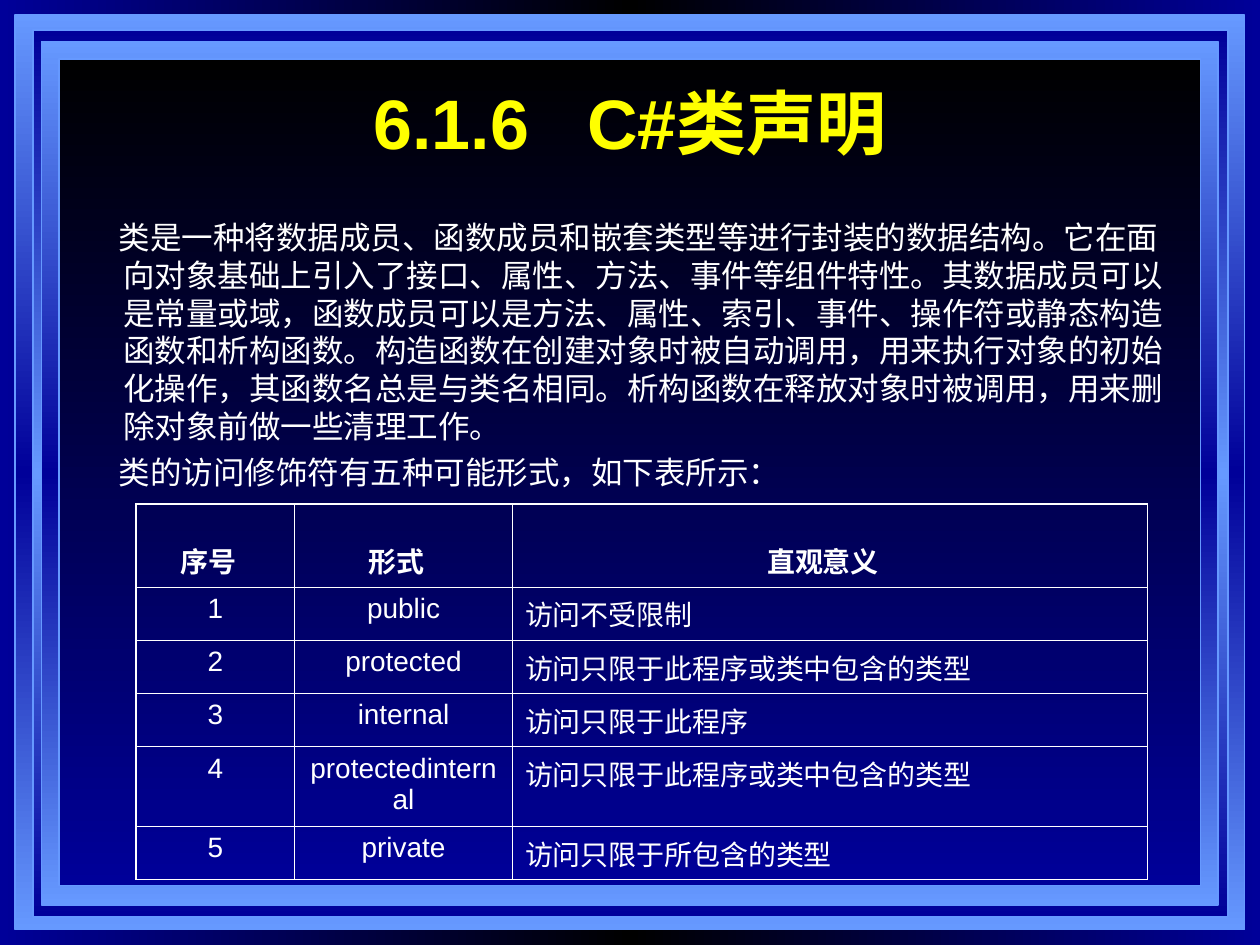
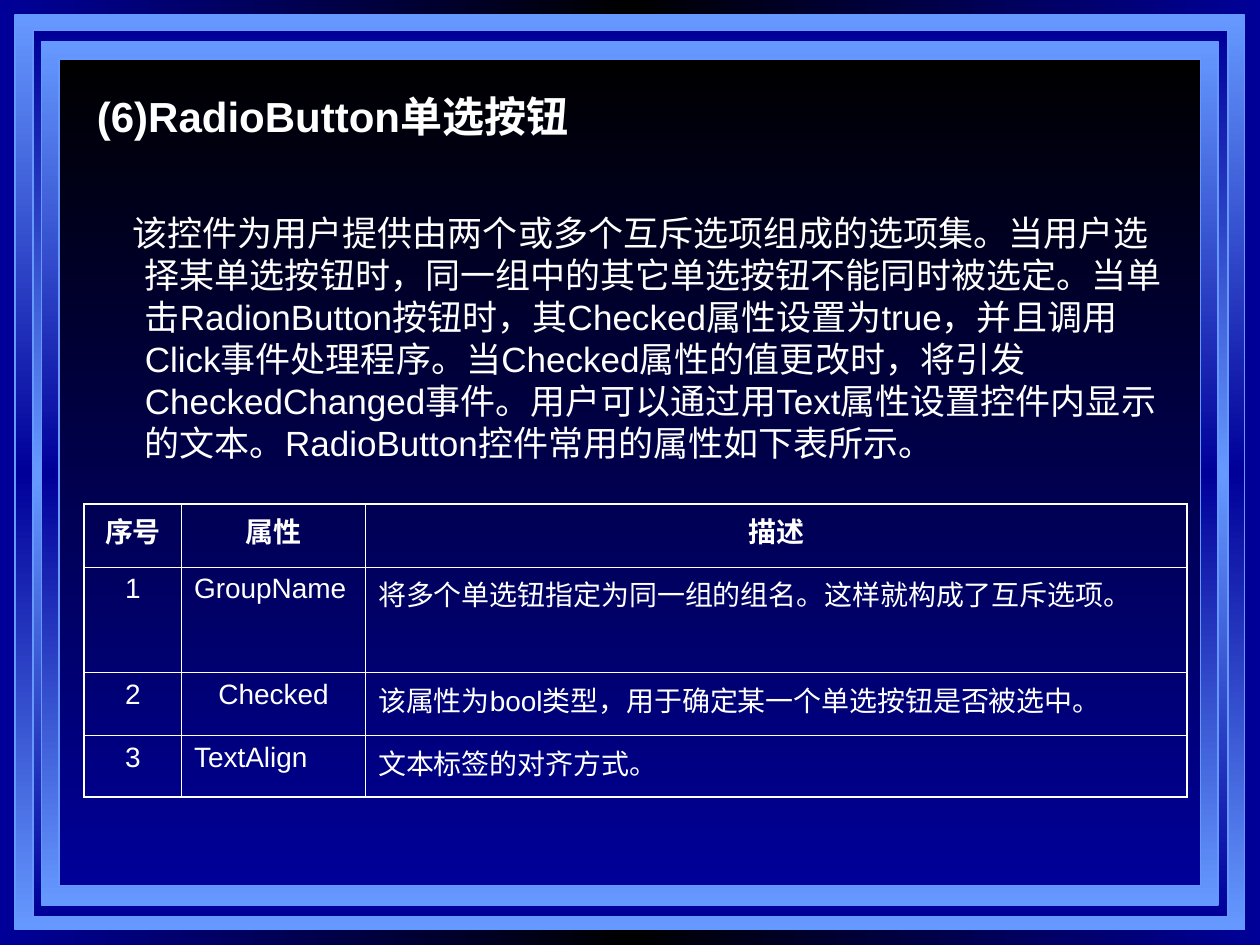
from lxml import etree
from pptx import Presentation
from pptx.dml.color import RGBColor
from pptx.enum.shapes import MSO_SHAPE
from pptx.enum.text import MSO_ANCHOR, MSO_AUTO_SIZE, PP_ALIGN
from pptx.oxml.ns import qn
from pptx.util import Cm, Pt

RECT = MSO_SHAPE.RECTANGLE
TOP = MSO_ANCHOR.TOP
FIXED = MSO_AUTO_SIZE.NONE
LEFT, MID = PP_ALIGN.LEFT, PP_ALIGN.CENTER

FONT = "Arial"
WHITE, GOLD = "FFFFFF", "FFFF00"
SKY, NAVY, BLACK = "6699FF", "000099", "000000"
THICK, THIN = 1.08, 0.45
TABLE_TOP = 10.16
HANG = 0.97

# Nested frames: box in cm, colours from top to bottom
FRAMES = [
    ((0.3, 0.3, 24.79, 18.44), (SKY, NAVY, SKY)),
    ((0.66, 0.61, 24.1, 17.88), (NAVY, SKY, NAVY)),
    ((0.84, 0.84, 23.72, 17.4), (SKY, NAVY, SKY)),
    ((1.19, 1.19, 23.01, 16.66), (BLACK, NAVY)),
]


def rgb(code):
    return RGBColor.from_string(code)


def blend(fill, root, angle, codes):
    """Give the fill found under root evenly spaced colour stops."""
    fill.gradient()
    fill.gradient_angle = angle
    stops = root.find(".//" + qn("a:gsLst"))
    for stop in list(stops):
        stops.remove(stop)
    for i, code in enumerate(codes):
        stop = etree.SubElement(stops, qn("a:gs"), pos=str(i * 100000 // (len(codes) - 1)))
        etree.SubElement(stop, qn("a:srgbClr"), val=code)


class Deck:
    def __init__(self):
        self.prs = Presentation()
        self.prs.slide_width, self.prs.slide_height = Cm(25.4), Cm(19.05)
        self.slide = None
        master = self.prs.slide_master
        blend(master.background.fill, master.element.find(".//" + qn("p:bg")),
              180, (NAVY, BLACK, NAVY))

    def start(self):
        first = self.slide is None
        self.slide = self.prs.slides.add_slide(self.prs.slide_layouts[5])
        if first:
            self.frames()

    def frames(self):
        """Draw the frames and move them behind everything on the master."""
        tree = self.prs.slide_master.shapes.element
        for i, (box, codes) in enumerate(FRAMES):
            shape = self.slide.shapes.add_shape(RECT, *map(Cm, box))
            shape.shadow.inherit = False
            blend(shape.fill, shape.element.spPr, 270, codes)
            shape.line.color.rgb = rgb(SKY)
            shape.line.width = Pt(1)
            shape.element.nvSpPr.cNvPr.set("id", str(100 + i))
            tree.insert(2 + i, shape.element)

    def run(self, para, text, size, color=WHITE, bold=False, track=0):
        run = para.add_run()
        run.text = text
        font = run.font
        font.name, font.size, font.bold = FONT, Pt(size), bold
        font.color.rgb = rgb(color)
        if track:
            run._r.get_or_add_rPr().set("spc", str(track * 100))

    def title(self, box, parts, size, color, align):
        shape = self.slide.shapes.title
        shape.left, shape.top, shape.width, shape.height = map(Cm, box)
        frame = shape.text_frame
        frame.word_wrap, frame.auto_size = True, FIXED
        frame.vertical_anchor = TOP
        para = frame.paragraphs[0]
        para.alignment = align
        for text, track in parts:
            self.run(para, text, size, color, True, track)

    def body(self, box, texts, size, first):
        frame = self.slide.shapes.add_textbox(*map(Cm, box)).text_frame
        frame.word_wrap = True
        for i, text in enumerate(texts):
            para = frame.add_paragraph() if i else frame.paragraphs[0]
            if i:
                para.space_before = Pt(4.5)
            props = para._p.get_or_add_pPr()
            props.set("marL", str(Cm(HANG)))
            props.set("indent", str(Cm(first)))
            self.run(para, text, size)

    def edge(self, cell, side, width):
        line = etree.SubElement(cell._tc.get_or_add_tcPr(), qn("a:ln" + side), w=str(Pt(width)))
        fill = etree.SubElement(line, qn("a:solidFill"))
        etree.SubElement(fill, qn("a:srgbClr"), val=WHITE)

    def table(self, left, cols, highs, rows, centre, head=None):
        """centre tells by row and column which cells are centred;
        head holds the top and right margins of the first row."""
        grid = self.slide.shapes.add_table(
            len(rows), len(cols), Cm(left), Cm(TABLE_TOP),
            Cm(sum(cols)), Cm(sum(highs))).table
        grid.first_row = grid.horz_banding = False
        for col, width in zip(grid.columns, cols):
            col.width = Cm(width)
        for row, high in zip(grid.rows, highs):
            row.height = Cm(high)
        for r, row in enumerate(rows):
            for c, text in enumerate(row):
                cell = grid.cell(r, c)
                outer = {"L": c == 0, "R": c == len(cols) - 1,
                         "T": r == 0, "B": r == len(rows) - 1}
                for side, rim in outer.items():
                    self.edge(cell, side, THICK if rim else THIN)
                cell.fill.background()
                if head and r == 0:
                    cell.margin_top, cell.margin_right = map(Cm, head)
                para = cell.text_frame.paragraphs[0]
                para.alignment = MID if r == 0 or centre(r, c) else LEFT
                self.run(para, text, 16, bold=r == 0)


def main():
    deck = Deck()

    # Class declaration
    deck.start()
    deck.title((1.27, 1.47, 22.86, 2.2), [("6.1.6", 0), (" ", 22), ("C#类声明", 0)],
               40, GOLD, MID)
    deck.body((1.27, 4.27, 22.86, 5.8), [
        "类是一种将数据成员、函数成员和嵌套类型等进行封装的数据结构。"
        "它在面向对象基础上引入了接口、属性、方法、事件等组件特性。"
        "其数据成员可以是常量或域，函数成员可以是方法、属性、索引、事件、操作符或静态构造函数和析构函数。"
        "构造函数在创建对象时被自动调用，用来执行对象的初始化操作，其函数名总是与类名相同。"
        "析构函数在释放对象时被调用，用来删除对象前做一些清理工作。",
        "类的访问修饰符有五种可能形式，如下表所示：",
    ], 18, -0.1)
    deck.table(2.74, [3.2, 4.39, 12.8], [1.68, 1.07, 1.07, 1.07, 1.52, 1.07], [
        ("序号", "形式", "直观意义"),
        ("1", "public", "访问不受限制"),
        ("2", "protected", "访问只限于此程序或类中包含的类型"),
        ("3", "internal", "访问只限于此程序"),
        ("4", "protectedinternal", "访问只限于此程序或类中包含的类型"),
        ("5", "private", "访问只限于所包含的类型"),
    ], lambda r, c: c < 2, (0.73, 0.53))

    # RadioButton control
    deck.start()
    deck.title((1.7, 1.7, 22.02, 1.6), [("(6)RadioButton单选按钮", 0)], 24, WHITE, LEFT)
    deck.body((1.7, 4.14, 22.02, 5.6), [
        "该控件为用户提供由两个或多个互斥选项组成的选项集。"
        "当用户选择某单选按钮时，同一组中的其它单选按钮不能同时被选定。"
        "当单击RadionButton按钮时，其Checked属性设置为true，并且调用Click事件处理程序。"
        "当Checked属性的值更改时，将引发CheckedChanged事件。"
        "用户可以通过用Text属性设置控件内显示的文本。"
        "RadioButton控件常用的属性如下表所示。",
    ], 20, -0.25)
    deck.table(1.7, [1.96, 3.71, 16.56], [1.27, 2.13, 1.27, 1.24], [
        ("序号", "属性", "描述"),
        ("1", "GroupName", "将多个单选钮指定为同一组的组名。这样就构成了互斥选项。"),
        ("2", "Checked", "该属性为bool类型，用于确定某一个单选按钮是否被选中。"),
        ("3", "TextAlign", "文本标签的对齐方式。"),
    ], lambda r, c: c == 0 or (r, c) == (2, 1))

    deck.prs.save("out.pptx")


if __name__ == "__main__":
    main()
